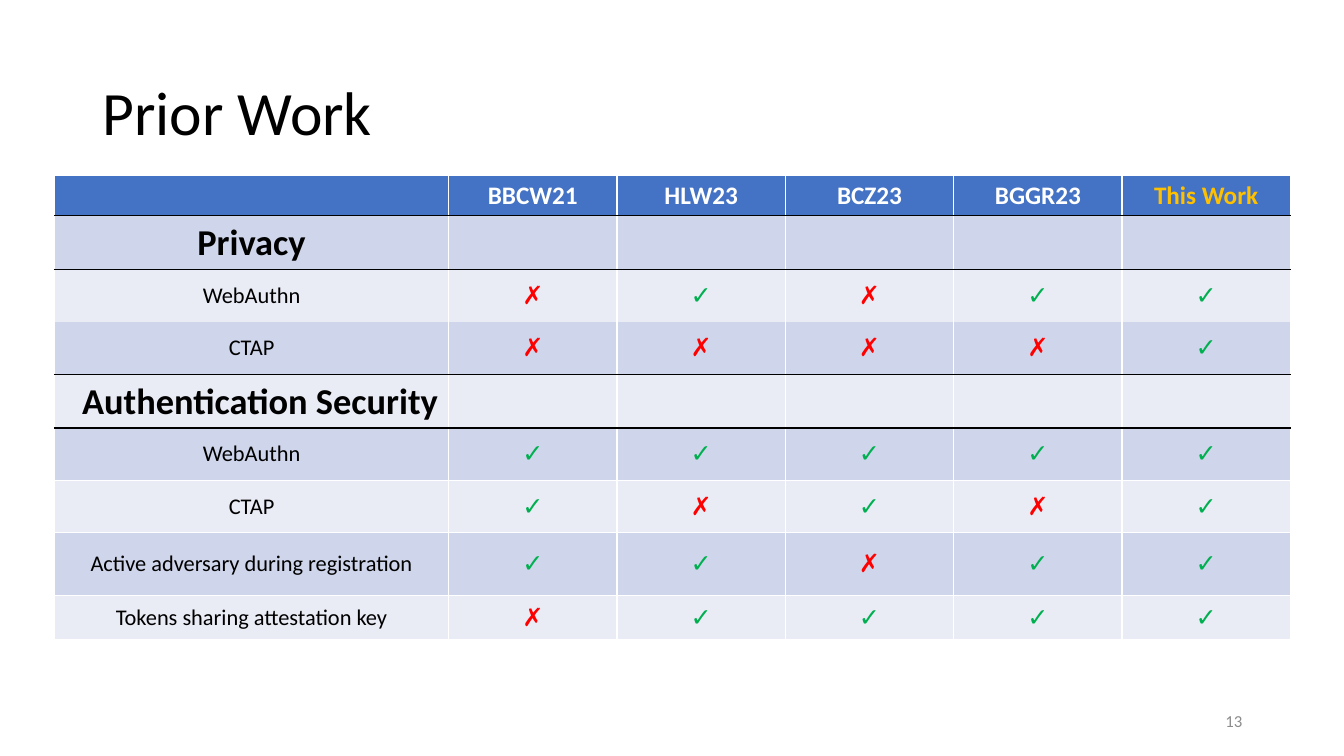
from lxml.etree import SubElement
from pptx import Presentation
from pptx.dml.color import RGBColor
from pptx.enum.text import MSO_ANCHOR as ANCHOR, PP_ALIGN as ALIGN
from pptx.oxml.ns import qn
from pptx.util import Pt

PX = 9144  # 100 px to the inch
BLACK = RGBColor(0x00, 0x00, 0x00)
WHITE = RGBColor(0xFF, 0xFF, 0xFF)
BLUE = RGBColor(0x44, 0x72, 0xC4)
BAND_DARK = RGBColor(0xCF, 0xD5, 0xEA)
BAND_LIGHT = RGBColor(0xE9, 0xEB, 0xF5)
GOLD = RGBColor(0xFF, 0xC0, 0x00)
RED = RGBColor(0xFF, 0x00, 0x00)
GREEN = RGBColor(0x00, 0xB0, 0x50)
GRAY = RGBColor(0x8C, 0x8C, 0x8C)

HEADER = ["", "BBCW21", "HLW23", "BCZ23", "BGGR23", "This Work"]
# Label, then one mark per work; a section row has no marks
BODY = [
    ("Privacy", ""),
    ("WebAuthn", "✗✓✗✓✓"),
    ("CTAP", "✗✗✗✗✓"),
    ("Authentication Security", ""),
    ("WebAuthn", "✓✓✓✓✓"),
    ("CTAP", "✓✗✓✗✓"),
    ("Active adversary during registration", "✓✓✗✓✓"),
    ("Tokens sharing attestation key", "✗✓✓✓✓"),
]
COL_WIDTHS = [391] + [167] * 5
ROW_HEIGHTS = [38] + [52] * 6 + [62, 44]
# Colour of each horizontal rule, from the top edge to the bottom edge
RULES = [WHITE, BLACK, BLACK, None, BLACK, BLACK] + [WHITE] * 4


def write(tf, text, size, color, align=ALIGN.CENTER, bold=False):
    tf.word_wrap = True
    p = tf.paragraphs[0]
    p.text = text
    p.alignment = align
    p.font.name = "Calibri"
    p.font.size = Pt(size)
    p.font.bold = bold
    p.font.color.rgb = color
    return p


def set_borders(cell, **colors):
    tcPr = cell._tc.get_or_add_tcPr()
    for i, side in enumerate(("lnL", "lnR", "lnT", "lnB")):
        ln = tcPr.makeelement(qn("a:" + side), {"w": str(Pt(1))})
        tcPr.insert(i, ln)  # borders come before the fill
        color = colors[side]
        if color is None:
            SubElement(ln, qn("a:noFill"))
        else:
            fill = SubElement(ln, qn("a:solidFill"))
            SubElement(fill, qn("a:srgbClr"), val=str(color))


prs = Presentation()
prs.slide_width, prs.slide_height = 1333 * PX, 750 * PX
slide = prs.slides.add_slide(prs.slide_layouts[6])

# Title
title = slide.shapes.add_textbox(92 * PX, 42 * PX, 1123 * PX, 145 * PX)
title.text_frame.vertical_anchor = ANCHOR.MIDDLE
p = write(title.text_frame, "Prior Work", 44, BLACK, ALIGN.LEFT)
p.line_spacing = 0.9

# Comparison table
table = slide.shapes.add_table(
    len(ROW_HEIGHTS), len(COL_WIDTHS), 54 * PX, 174 * PX,
    sum(COL_WIDTHS) * PX, sum(ROW_HEIGHTS) * PX).table
for col, width in zip(table.columns, COL_WIDTHS):
    col.width = width * PX
for row, height in zip(table.rows, ROW_HEIGHTS):
    row.height = height * PX

# Fills and borders
for r, row in enumerate(table.rows):
    band = BLUE if r == 0 else BAND_DARK if r % 2 else BAND_LIGHT
    for cell in row.cells:
        cell.vertical_anchor = ANCHOR.MIDDLE
        cell.fill.solid()
        cell.fill.fore_color.rgb = band
        set_borders(cell, lnL=WHITE, lnR=WHITE, lnT=RULES[r], lnB=RULES[r + 1])

# Header row
for c, name in enumerate(HEADER):
    color = GOLD if name == "This Work" else WHITE
    write(table.cell(0, c).text_frame, name, 18, color, bold=True)

# Sections and properties
for r, (label, marks) in enumerate(BODY, 1):
    section = not marks
    align = ALIGN.RIGHT if label == "Authentication Security" else ALIGN.CENTER
    write(table.cell(r, 0).text_frame, label, 26 if section else 16, BLACK,
          align, bold=section)
    for c, mark in enumerate(marks, 1):
        write(table.cell(r, c).text_frame, mark, 18, GREEN if mark == "✓" else RED)

# Slide number
number = slide.shapes.add_textbox(942 * PX, 695 * PX, 300 * PX, 40 * PX)
number.text_frame.vertical_anchor = ANCHOR.MIDDLE
write(number.text_frame, "13", 12, GRAY, ALIGN.RIGHT)

prs.save("out.pptx")
